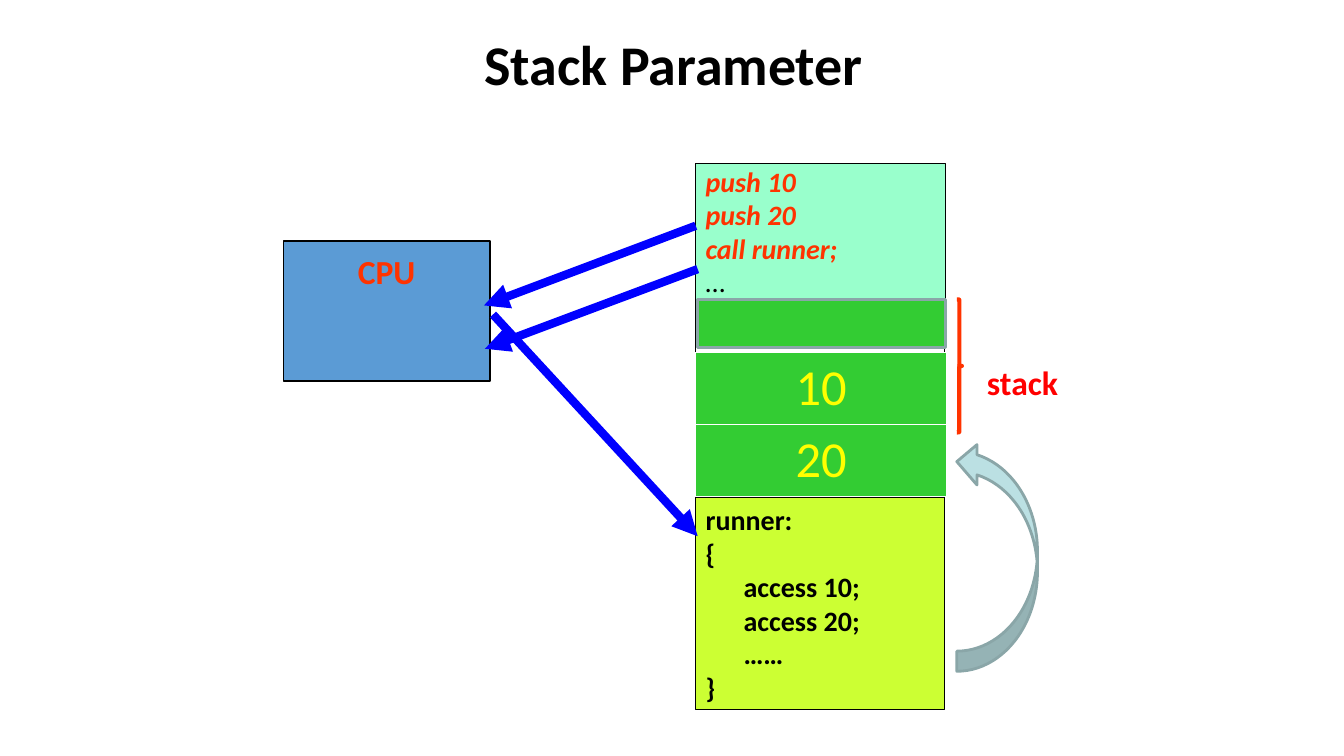
from dataclasses import dataclass
from typing import Any, Optional

from lxml import etree
from pptx import Presentation
from pptx.dml.color import RGBColor
from pptx.enum.shapes import MSO_CONNECTOR, MSO_SHAPE
from pptx.enum.text import MSO_ANCHOR, PP_ALIGN
from pptx.oxml.ns import qn
from pptx.util import Inches, Pt

RECTANGLE = MSO_SHAPE.RECTANGLE
CURVED_ARROW = MSO_SHAPE.CURVED_LEFT_ARROW
RIGHT_BRACE = MSO_SHAPE.RIGHT_BRACE
STRAIGHT = MSO_CONNECTOR.STRAIGHT
LEFT, CENTER = PP_ALIGN.LEFT, PP_ALIGN.CENTER
TOP, MIDDLE = MSO_ANCHOR.TOP, MSO_ANCHOR.MIDDLE

BLACK = RGBColor(0, 0, 0)
WHITE = RGBColor(255, 255, 255)
RED = RGBColor(255, 0, 0)
ORANGE = RGBColor(0xFF, 0x33, 0x00)
YELLOW = RGBColor(255, 255, 0)
MINT = RGBColor(0x99, 0xFF, 0xCC)
LIME = RGBColor(0xCC, 0xFF, 0x33)
GREEN = RGBColor(0x33, 0xCC, 0x33)
STEEL = RGBColor(0x5B, 0x9B, 0xD5)
BLUE = RGBColor(0, 0, 255)
PALE_TEAL = RGBColor(0xBB, 0xE0, 0xE3)
GREY_TEAL = RGBColor(0x8A, 0xA6, 0xA8)

MEMORY_LEFT = 6.9
MEMORY_WIDTH = 2.47
STACK_TOP = 2.97

CODE = {"size": Pt(20), "bold": True, "italic": False}
CALL_CODE = CODE | {"italic": True}
PLAIN_CODE = CODE | {"bold": False}
LABEL = {"size": Pt(24), "bold": True}
TITLE = {"size": Pt(40), "bold": True}
STACK_VALUE = {"size": Pt(36), "bold": False}


@dataclass(frozen=True)
class Line:
    text: str
    style: dict[str, Any]
    color: RGBColor = BLACK


@dataclass(frozen=True)
class Block:
    box: tuple[float, float, float, float]
    fill: Optional[RGBColor]
    border: RGBColor = BLACK
    weight: float = 1
    kind: Any = RECTANGLE
    lines: tuple[Line, ...] = ()
    alignment: Any = LEFT
    anchor: Any = MIDDLE
    flipped: bool = False


@dataclass(frozen=True)
class Arrow:
    start: tuple[float, float]
    end: tuple[float, float]


BLOCKS = (
    Block((MEMORY_LEFT, 1.62, 2.48, 1.35), MINT, lines=(
        Line("push 10", CALL_CODE, ORANGE),
        Line("push 20", CALL_CODE, ORANGE),
        Line("call runner;", CALL_CODE, ORANGE),
        Line("…", PLAIN_CODE))),
    Block((MEMORY_LEFT, 4.93, MEMORY_WIDTH, 2.11), LIME, lines=tuple(
        Line(text, CODE) for text in (
            "runner:", "{", "      access 10;", "      access 20;",
            "      ……", "}"))),
    Block((MEMORY_LEFT, STACK_TOP, MEMORY_WIDTH, 1.96), None),
    Block((2.81, 2.39, 2.05, 1.39), STEEL,
          lines=(Line("CPU", LABEL, ORANGE),), alignment=CENTER, anchor=TOP),
)
ARROWS = (
    Arrow((6.9, 2.24), (4.8, 3.03)),
    Arrow((4.89, 3.12), (6.92, 5.32)),
    Arrow((6.92, 2.67), (4.81, 3.46)),
)
STACK_MARKS = (
    Block((9.49, 4.38, 0.8, 2.28), PALE_TEAL, GREY_TEAL, 2, CURVED_ARROW,
          flipped=True),
    Block((9.49, STACK_TOP, 0.05, 1.32), None, ORANGE, 3, RIGHT_BRACE),
    Block((6.92, STACK_TOP, 2.46, 0.48), GREEN, GREY_TEAL, 2),
)


def write_lines(frame: Any, lines: tuple[Line, ...], alignment: Any) -> None:
    for index, line in enumerate(lines):
        paragraph = frame.paragraphs[0] if index == 0 else frame.add_paragraph()
        paragraph.alignment = alignment
        run = paragraph.add_run()
        run.text = line.text
        for name, value in (line.style | {"name": "Calibri"}).items():
            setattr(run.font, name, value)
        run.font.color.rgb = line.color


def add_block(slide: Any, block: Block) -> None:
    shape = slide.shapes.add_shape(block.kind, *map(Inches, block.box))
    shape.shadow.inherit = False
    if block.fill is None:
        shape.fill.background()
    else:
        shape.fill.solid()
        shape.fill.fore_color.rgb = block.fill
    shape.line.color.rgb = block.border
    shape.line.width = Pt(block.weight)
    if block.flipped:
        shape.element.spPr.find(qn("a:xfrm")).set("flipV", "1")
    if block.lines:
        frame = shape.text_frame
        frame.word_wrap = False
        frame.vertical_anchor = block.anchor
        if block.anchor == TOP:
            frame.margin_top = Inches(0.1)
        write_lines(frame, block.lines, block.alignment)


def add_arrow(slide: Any, arrow: Arrow) -> None:
    connector = slide.shapes.add_connector(
        STRAIGHT, *map(Inches, arrow.start + arrow.end))
    connector.line.color.rgb = BLUE
    connector.line.width = Pt(6)
    properties = connector.element.spPr
    etree.SubElement(properties.find(qn("a:ln")), qn("a:tailEnd"), type="triangle")
    etree.SubElement(properties, qn("a:effectLst"))


def add_cell_borders(cell: Any) -> None:
    properties = cell._tc.get_or_add_tcPr()
    for index, side in enumerate(("lnL", "lnR", "lnT", "lnB")):
        border = etree.Element(qn(f"a:{side}"), w=str(Pt(1)))
        fill = etree.SubElement(border, qn("a:solidFill"))
        etree.SubElement(fill, qn("a:srgbClr"), val=str(WHITE))
        properties.insert(index, border)


def add_stack_table(slide: Any, values: tuple[str, ...]) -> None:
    row_height = 0.71
    table = slide.shapes.add_table(
        len(values), 1, Inches(MEMORY_LEFT), Inches(3.5), Inches(2.49),
        Inches(row_height * len(values))).table
    for row, value in enumerate(values):
        cell = table.cell(row, 0)
        cell.fill.solid()
        cell.fill.fore_color.rgb = GREEN
        add_cell_borders(cell)
        write_lines(cell.text_frame, (Line(value, STACK_VALUE, YELLOW),), CENTER)


def add_title(slide: Any) -> None:
    title = slide.shapes.title
    title.left, title.top, title.width, title.height = map(
        Inches, (0.68, 0, 12, 1.25))
    title.text_frame.vertical_anchor = MIDDLE
    write_lines(title.text_frame, (Line("Stack Parameter", TITLE),), CENTER)


def add_stack_label(slide: Any) -> None:
    label = slide.shapes.add_textbox(*map(Inches, (9.69, 3.54, 0.92, 0.5)))
    label.text_frame.word_wrap = False
    write_lines(label.text_frame, (Line("stack", LABEL, RED),), LEFT)


def main() -> None:
    presentation = Presentation()
    presentation.slide_width = Inches(13.33)
    presentation.slide_height = Inches(7.5)
    slide = presentation.slides.add_slide(presentation.slide_layouts[5])
    add_title(slide)
    for block in BLOCKS:
        add_block(slide, block)
    for arrow in ARROWS:
        add_arrow(slide, arrow)
    add_stack_table(slide, ("10", "20"))
    for mark in STACK_MARKS:
        add_block(slide, mark)
    add_stack_label(slide)
    presentation.save("out.pptx")


if __name__ == "__main__":
    main()
